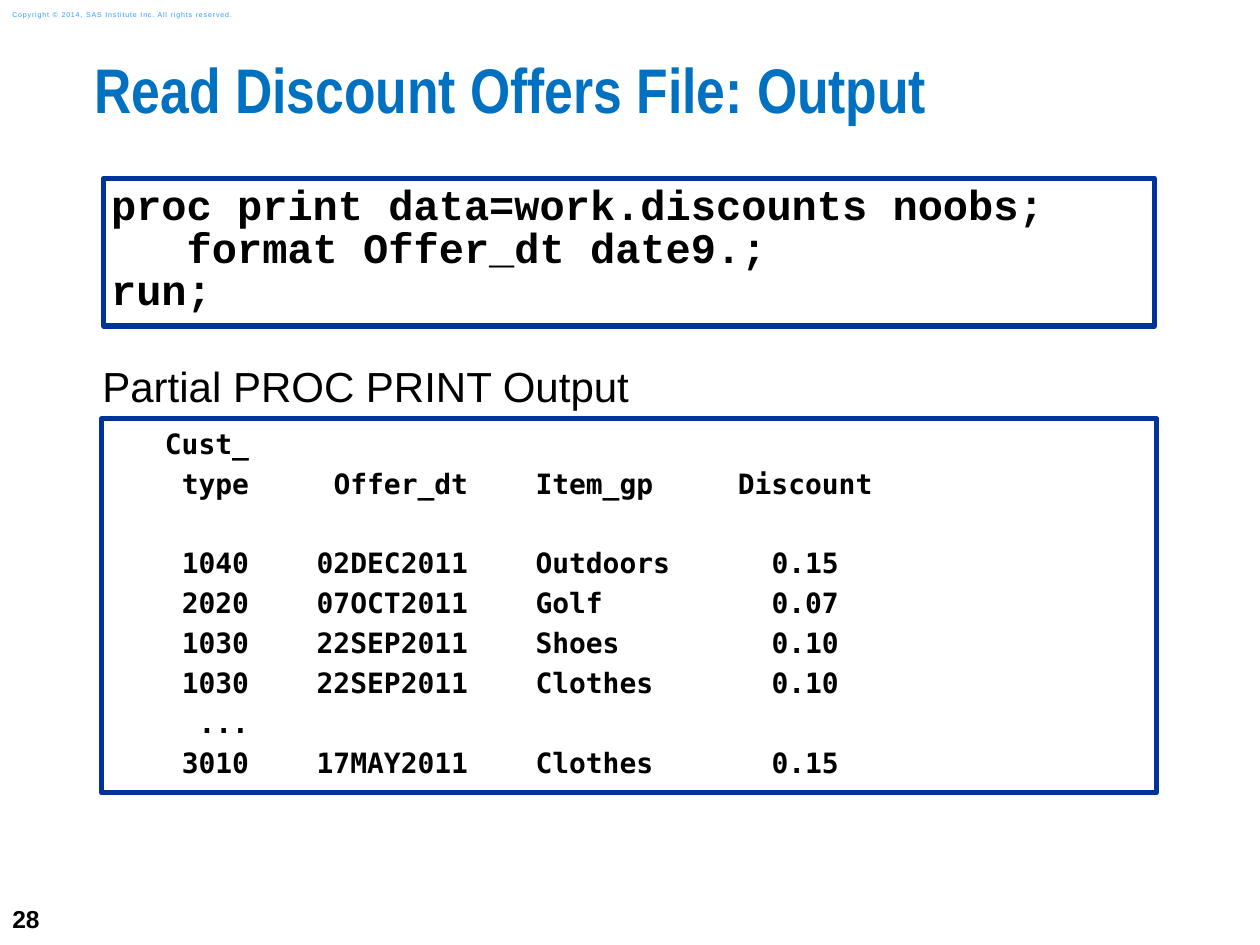
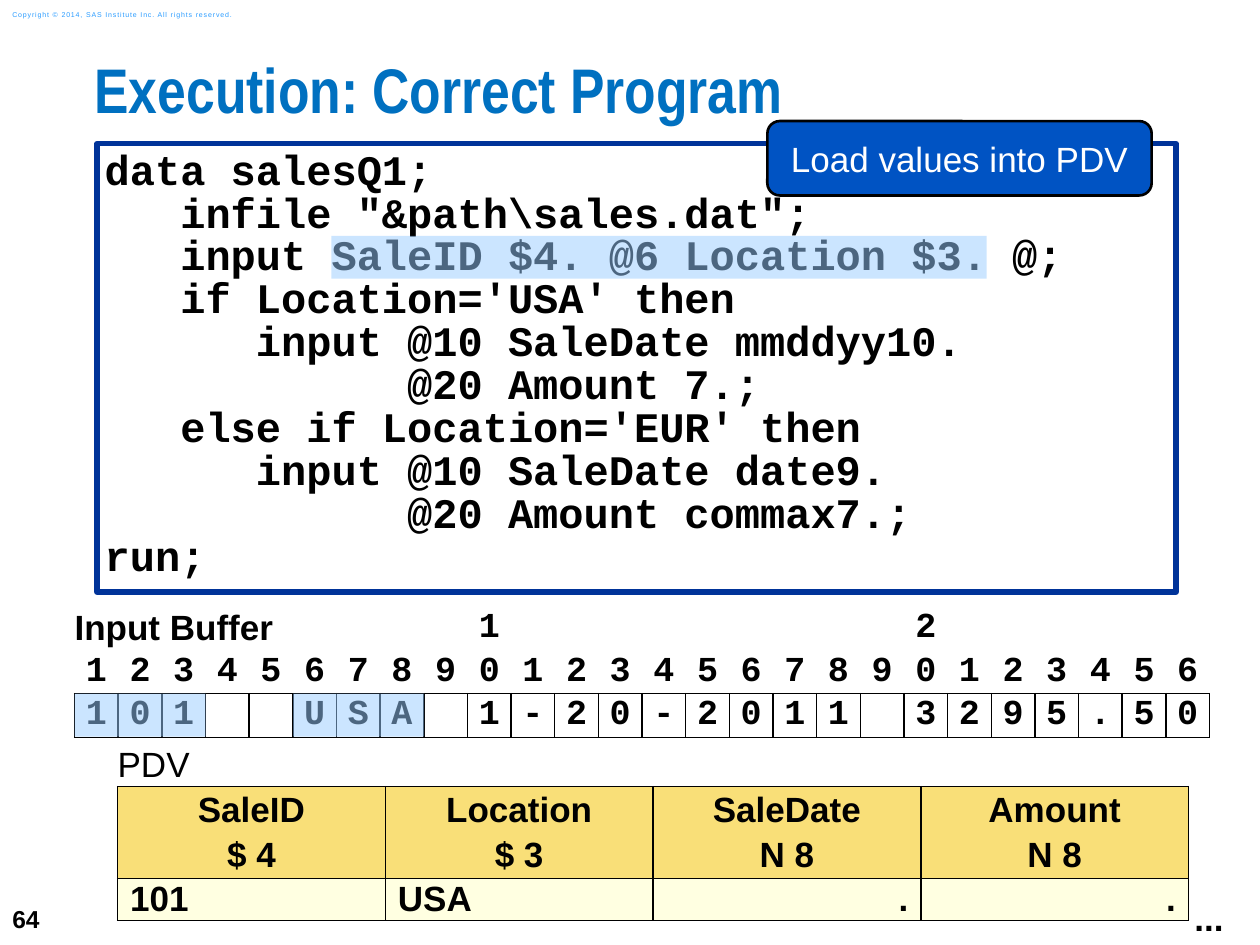
"""Builds two slides on reading mixed records: program output and program execution."""
from lxml.etree import SubElement
from pptx import Presentation
from pptx.dml.color import RGBColor
from pptx.enum.shapes import MSO_SHAPE as Shape
from pptx.enum.text import MSO_ANCHOR as Anchor, MSO_AUTO_SIZE as AutoSize, PP_ALIGN as Align
from pptx.oxml.ns import qn
from pptx.util import Pt

BLACK, WHITE, NAVY = "000000", "FFFFFF", "003399"
TITLE_BLUE, COPYRIGHT_BLUE, CALLOUT_BLUE = "0070C0", "2A9CFF", "0053C3"
HIGHLIGHT, HEADER_GOLD, VALUE_CREAM = "99CCFF", "F9DF78", "FFFFE1"
CODE_FONT, LISTING_FONT = "Courier New", "DejaVu Sans Mono"
NO_STYLE = "{2D5ABB26-0587-4C30-8999-92F81FD0307C}"
COPYRIGHT = "Copyright © 2014, SAS Institute Inc. All rights reserved."

PRINT_STEP = [
    "proc print data=work.discounts noobs;",
    "   format Offer_dt date9.;",
    "run;",
]
LISTING_HEAD = [("Cust_",), ("type", "Offer_dt", "Item_gp", "Discount")]
LISTING_ROWS = [
    ("1040", "02DEC2011", "Outdoors", "0.15"),
    ("2020", "07OCT2011", "Golf", "0.07"),
    ("1030", "22SEP2011", "Shoes", "0.10"),
    ("1030", "22SEP2011", "Clothes", "0.10"),
    ("...",),
    ("3010", "17MAY2011", "Clothes", "0.15"),
]
LISTING_TABS = [(8, "r"), (21, "r"), (25, "l"), (41, "ctr")]

DATA_STEP = [
    "data salesQ1;",
    '   infile "&path\\sales.dat";',
    "   input SaleID $4. @6 Location $3. @;",
    "   if Location='USA' then",
    "      input @10 SaleDate mmddyy10.",
    "            @20 Amount 7.;",
    "   else if Location='EUR' then",
    "      input @10 SaleDate date9.",
    "            @20 Amount commax7.;",
    "run;",
]
LOADED_CODE = "SaleID $4. @6 Location $3."
BUFFER = "101  USA 1-20-2011 3295.50"
LOADED_FIELDS = [(0, 3), (5, 3)]
PDV = [
    ("SaleID", "$ 4", "101", Align.LEFT),
    ("Location", "$ 3", "USA", Align.LEFT),
    ("SaleDate", "N 8", ".", Align.RIGHT),
    ("Amount", "N 8", ".", Align.RIGHT),
]


def color(code):
    """Turn a hex string into a colour."""
    return RGBColor.from_string(code)


def write(frame, lines, size, font="Arial", ink=BLACK, bold=False, align=Align.LEFT,
          leading=None, gap=0, inset=(0, 0), anchor=Anchor.TOP, tabs=()):
    """Fill a text frame or table cell with one run per line."""
    frame.margin_left = frame.margin_right = Pt(inset[0])
    frame.margin_top = frame.margin_bottom = Pt(inset[1])
    frame.vertical_anchor = anchor
    body = getattr(frame, "text_frame", frame)
    body.word_wrap = True
    for index, line in enumerate(lines):
        paragraph = body.add_paragraph() if index else body.paragraphs[0]
        if tabs:
            stops = SubElement(paragraph._p.get_or_add_pPr(), qn("a:tabLst"))
            for position, kind in tabs:
                SubElement(stops, qn("a:tab"), pos=str(Pt(position)), algn=kind)
        paragraph.alignment = align
        if leading:
            paragraph.line_spacing = leading
        if index and gap:
            paragraph.space_before = Pt(gap)
        run = paragraph.add_run()
        run.text = line
        run.font.name, run.font.size, run.font.bold = font, Pt(size), bold
        run.font.color.rgb = color(ink)
    return body.paragraphs


def add_text(slide, box, lines, size, **style):
    """Add a text box."""
    frame = slide.shapes.add_textbox(*map(Pt, box)).text_frame
    return write(frame, lines, size, **style)


def add_box(slide, box, fill, line=None, width=3, kind=Shape.RECTANGLE):
    """Add a filled shape, outlined if a line colour is given."""
    shape = slide.shapes.add_shape(kind, *map(Pt, box))
    shape.shadow.inherit = False
    shape.fill.solid()
    shape.fill.fore_color.rgb = color(fill)
    if line:
        shape.line.color.rgb = color(line)
        shape.line.width = Pt(width)
    else:
        shape.line.fill.background()
    return shape


def add_code(slide, box, lines):
    """Add a framed program listing."""
    frame = add_box(slide, box, WHITE, NAVY).text_frame
    write(frame, lines, 24, font=CODE_FONT, bold=True, leading=0.85, inset=(4.3, 4.3))


def add_highlight(slide, box):
    """Add a half-transparent marker."""
    marker = add_box(slide, box, HIGHLIGHT)
    tint = marker.fill._xPr.find(qn("a:solidFill"))[0]
    SubElement(tint, qn("a:alpha"), val="50000")


def add_grid(slide, left, top, col_widths, row_heights):
    """Add a table without a style."""
    rows, cols = len(row_heights), len(col_widths)
    table = slide.shapes.add_table(rows, cols, Pt(left), Pt(top), Pt(sum(col_widths)),
                                   Pt(sum(row_heights))).table
    table.first_row = table.horz_banding = False
    table._tbl.tblPr.find(qn("a:tableStyleId")).text = NO_STYLE
    for column, width in zip(table.columns, col_widths):
        column.width = Pt(width)
    for row, height in zip(table.rows, row_heights):
        row.height = Pt(height)
    return table


def format_cell(cell, sides="", fill=None):
    """Draw the named cell borders and set the fill."""
    cell.margin_left = cell.margin_right = cell.margin_top = cell.margin_bottom = 0
    properties = cell._tc.get_or_add_tcPr()
    for side in sides:
        border = SubElement(properties, qn(f"a:ln{side}"), w=str(Pt(1)))
        SubElement(SubElement(border, qn("a:solidFill")), qn("a:srgbClr"), val=BLACK)
    if fill:
        cell.fill.solid()
        cell.fill.fore_color.rgb = color(fill)
    else:
        cell.fill.background()


def start_slide(deck, heading, number):
    """Add a slide with its title, number and copyright line."""
    slide = deck.slides.add_slide(deck.slide_layouts[5])
    title = slide.shapes.title
    title.left, title.top, title.width, title.height = map(Pt, (54, 36, 660, 54))
    write(title.text_frame, [heading], 36, font="Arial Narrow", ink=TITLE_BLUE, bold=True,
          leading=0.83)
    title.text_frame.auto_size = AutoSize.NONE
    add_text(slide, (0, 510, 42, 30), [number], 14, bold=True, inset=(7.2, 3.6),
             anchor=Anchor.MIDDLE)
    notice = add_text(slide, (0, 2, 152, 12.4), [COPYRIGHT], 4, ink=COPYRIGHT_BLUE,
                      inset=(7.2, 3.6), anchor=Anchor.MIDDLE)
    notice[0].runs[0]._r.get_or_add_rPr().set("spc", "50")
    return slide


def build_output(deck):
    """Build the slide with the printed discounts."""
    slide = start_slide(deck, "Read Discount Offers File: Output", "28")
    add_text(slide, (58.5, 206, 602, 90), ["Partial PROC PRINT Output"], 24)
    add_code(slide, (59.2, 102, 600.5, 84.3), PRINT_STEP)
    listing = add_box(slide, (58.2, 239.2, 602.6, 213.8), WHITE, NAVY).text_frame
    lines = ["\t" + "\t".join(row) for row in LISTING_HEAD + LISTING_ROWS]
    tabs = [(chars * 9.63, kind) for chars, kind in LISTING_TABS]
    paragraphs = write(listing, lines, 16, font=LISTING_FONT, bold=True, gap=3.7,
                       inset=(7.2, 4.3), tabs=tabs)
    paragraphs[len(LISTING_HEAD)].space_before = Pt(26)


def add_buffer(slide, left, top, cell):
    """Add the input buffer with its column ruler and the loaded fields marked."""
    columns = range(1, len(BUFFER) + 1)
    tens = ["" if n % 10 else str(n // 10) for n in columns]
    units = [str(n % 10) for n in columns]
    table = add_grid(slide, left, top, [cell] * len(BUFFER), [cell] * 3)
    for r, (values, sides) in enumerate([(tens, ""), (units, "B"), (BUFFER, "LRTB")]):
        for c, value in enumerate(values):
            format_cell(table.cell(r, c), sides)
            if value.strip():
                write(table.cell(r, c), [value], 20, font=CODE_FONT, bold=True,
                      align=Align.CENTER, anchor=Anchor.MIDDLE)
    label = table.cell(0, 0)
    label.merge(table.cell(0, 8))
    write(label, ["Input Buffer"], 20, bold=True, anchor=Anchor.MIDDLE)


def add_pdv(slide):
    """Add the program data vector."""
    table = add_grid(slide, 67.2, 425.5, [153] * len(PDV), [24, 52.5, 24])
    for c, (name, kind, value, align) in enumerate(PDV):
        format_cell(table.cell(0, c), "B", WHITE)
        cells = [([name, kind], Align.CENTER, HEADER_GOLD), ([value], align, VALUE_CREAM)]
        for r, (lines, side, fill) in enumerate(cells, 1):
            format_cell(table.cell(r, c), "LRTB", fill)
            write(table.cell(r, c), lines, 20, bold=True, align=side, gap=3.5,
                  inset=(7.2, 0), anchor=Anchor.MIDDLE)
    label = table.cell(0, 0)
    label.merge(table.cell(0, len(PDV) - 1))
    write(label, ["PDV"], 20, anchor=Anchor.MIDDLE)


def build_execution(deck):
    """Build the slide that loads values into the program data vector."""
    slide = start_slide(deck, "Execution: Correct Program", "64")
    code_left, code_top, char, pitch = 55.5, 82, 14.4, 24.5
    add_code(slide, (code_left, code_top, 616.5, 256.3), DATA_STEP)
    buffer_left, buffer_top, cell = 42.6, 346.5, 24.97
    add_buffer(slide, buffer_left, buffer_top, cell)
    add_pdv(slide)
    add_text(slide, (682.5, 512, 24, 24), ["..."], 20, bold=True)
    callout = add_box(slide, (438.5, 69.2, 219.6, 42.5), CALLOUT_BLUE, BLACK, 1.5,
                      Shape.ROUNDED_RECTANGLE)
    write(callout.text_frame, ["Load values into PDV"], 20, ink=WHITE, align=Align.CENTER,
          inset=(7.2, 7.2), anchor=Anchor.MIDDLE)
    row = next(n for n, line in enumerate(DATA_STEP) if LOADED_CODE in line)
    start = DATA_STEP[row].index(LOADED_CODE)
    add_highlight(slide, (code_left + 4.3 + start * char, code_top + 3.8 + row * pitch,
                          len(LOADED_CODE) * char, pitch))
    for first, count in LOADED_FIELDS:
        add_highlight(slide, (buffer_left + first * cell, buffer_top + 2 * cell,
                              count * cell, pitch))


def main():
    """Build and save the deck."""
    deck = Presentation()
    deck.slide_width, deck.slide_height = Pt(720), Pt(540)
    build_output(deck)
    build_execution(deck)
    deck.save("out.pptx")


if __name__ == "__main__":
    main()
